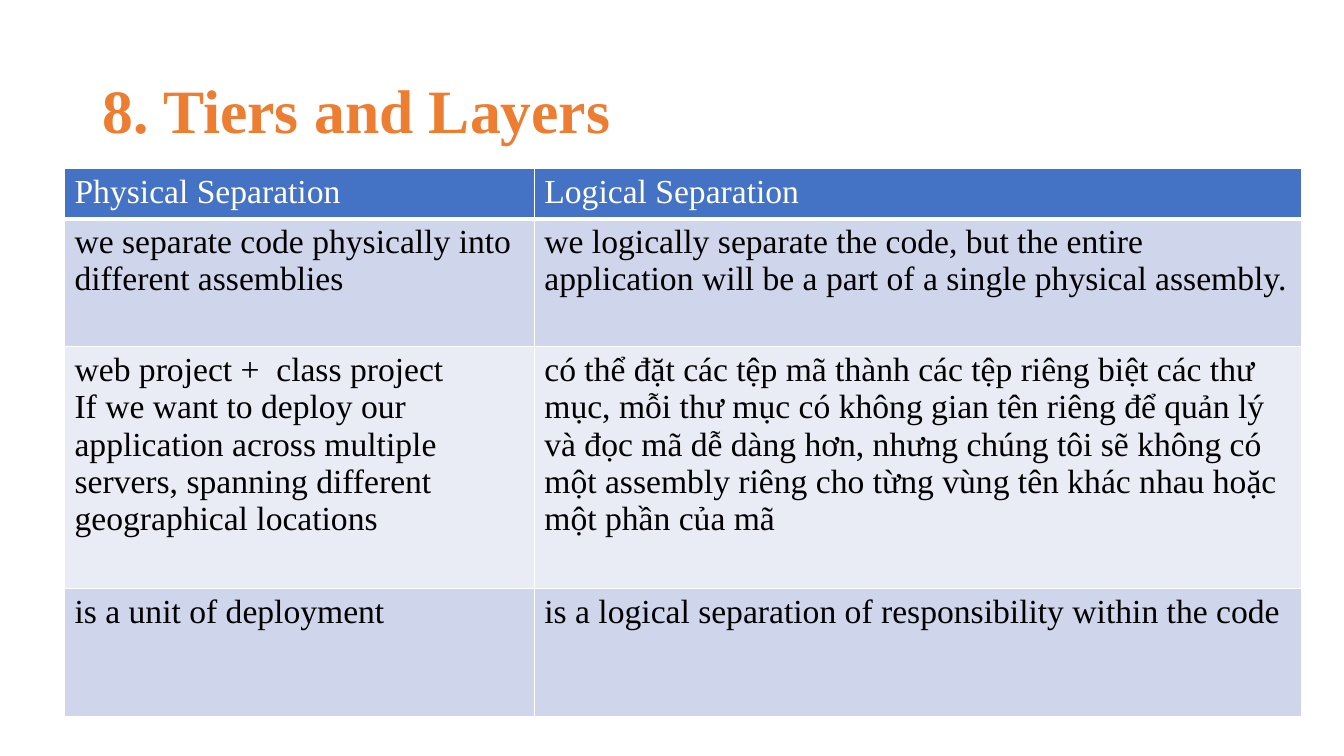
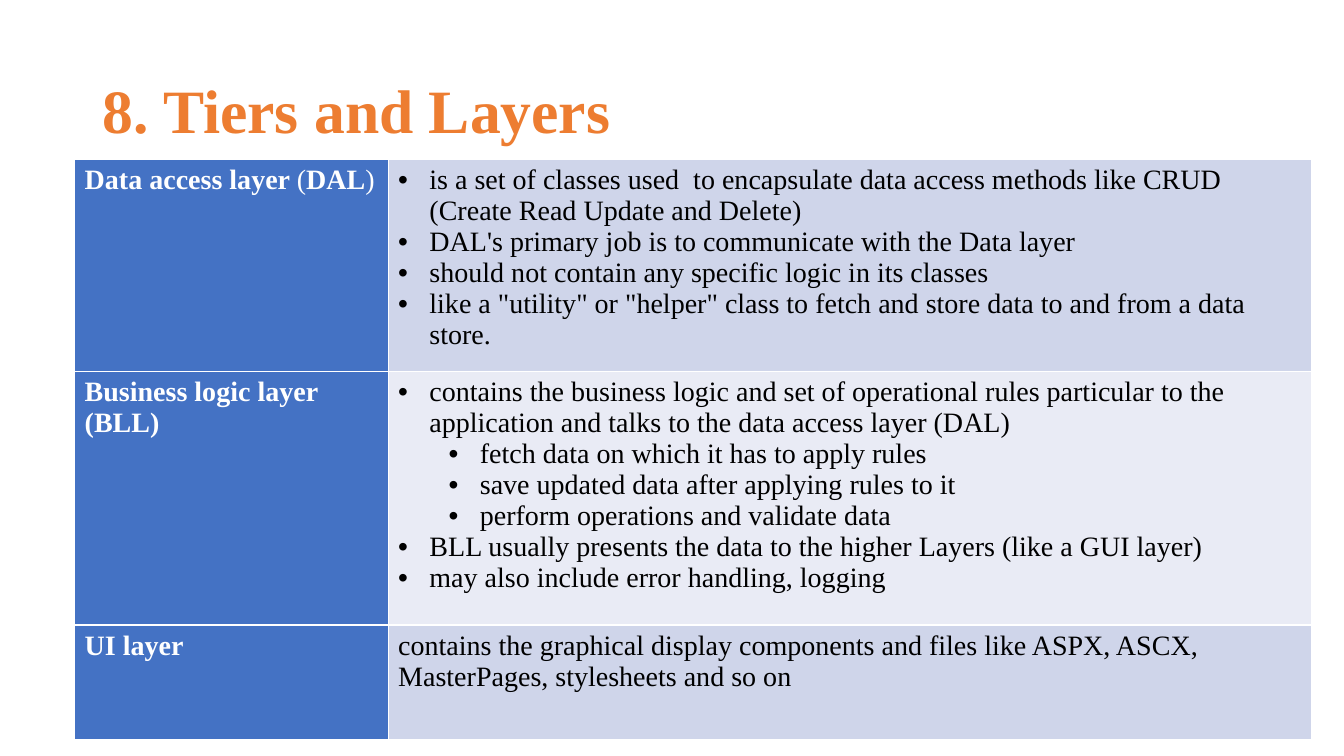
import dataclasses

import lxml.etree
import pptx
import pptx.dml.color
import pptx.enum.text
import pptx.oxml.ns
import pptx.util


@dataclasses.dataclass(frozen=True)
class Theme:
    font: str = "Times New Roman"
    accent: str = "ED7D31"
    header: str = "4472C4"
    bands: tuple = ("CFD5EA", "E9EBF5")
    ink: str = "000000"
    white: str = "FFFFFF"
    title_size: int = 44
    large_size: int = 24
    body_size: int = 20
    hairline: float = 1
    header_rule: float = 3
    hanging: float = 0.31
    level_step: float = 0.5


class SlideWriter:
    """Draw titles and tables on blank slides, placed by percent of the slide size."""

    def __init__(self, theme):
        self.theme = theme
        self.deck = pptx.Presentation()
        self.deck.slide_width = pptx.util.Inches(13.33)
        self.deck.slide_height = pptx.util.Inches(7.5)
        self.page = None

    def across(self, percent):
        return round(self.deck.slide_width * percent / 100)

    def down(self, percent):
        return round(self.deck.slide_height * percent / 100)

    def new_page(self, title):
        self.page = self.deck.slides.add_slide(self.deck.slide_layouts[6])
        box = self.page.shapes.add_textbox(
            self.across(6.9), self.down(5.33), self.across(86.25), self.down(19.33))
        frame = box.text_frame
        layout = {"word_wrap": True, "vertical_anchor": pptx.enum.text.MSO_ANCHOR.MIDDLE}
        for name, value in layout.items():
            setattr(frame, name, value)
        para = frame.paragraphs[0]
        para.line_spacing = 0.9
        self.span(para, title, self.theme.title_size, self.theme.accent, True)

    def span(self, para, text, size, color, bold=False):
        span = para.add_run()
        span.text = text
        values = {"name": self.theme.font, "size": pptx.util.Pt(size), "bold": bold}
        for name, value in values.items():
            setattr(span.font, name, value)
        span.font.color.rgb = pptx.dml.color.RGBColor.from_string(color)

    def bullet(self, para, level):
        para.level = level
        properties = para._p.get_or_add_pPr()
        hanging = pptx.util.Inches(self.theme.hanging)
        margin = hanging + pptx.util.Inches(level * self.theme.level_step)
        for name, value in {"marL": margin, "indent": -hanging}.items():
            properties.set(name, str(value))
        for tag, name, value in (("a:buFont", "typeface", "Arial"), ("a:buChar", "char", "•")):
            mark = lxml.etree.SubElement(properties, pptx.oxml.ns.qn(tag))
            mark.set(name, value)

    def borders(self, cell, bottom):
        properties = cell._tc.get_or_add_tcPr()
        widths = dict.fromkeys(("lnL", "lnR", "lnT"), self.theme.hairline) | {"lnB": bottom}
        for position, (side, width) in enumerate(widths.items()):
            line = lxml.etree.Element(pptx.oxml.ns.qn(f"a:{side}"), w=str(pptx.util.Pt(width)))
            fill = lxml.etree.SubElement(line, pptx.oxml.ns.qn("a:solidFill"))
            lxml.etree.SubElement(fill, pptx.oxml.ns.qn("a:srgbClr"), val=self.theme.white)
            properties.insert(position, line)

    def cell(self, cell, content, fill, size, color, bold, bottom):
        cell.fill.solid()
        cell.fill.fore_color.rgb = pptx.dml.color.RGBColor.from_string(fill)
        self.borders(cell, bottom)
        entries = [content] if isinstance(content, str) else content
        for index, entry in enumerate(entries):
            frame = cell.text_frame
            para = frame.add_paragraph() if index else frame.paragraphs[0]
            level, text = (None, entry) if isinstance(entry, (str, dict)) else entry
            if level is not None:
                self.bullet(para, level)
            pieces = text if isinstance(text, dict) else {text: bold}
            for piece, weight in pieces.items():
                self.span(para, piece, size, color, weight)

    def table(self, left, top, columns, rows, contents, size, header_row=False):
        theme = self.theme
        table = self.page.shapes.add_table(
            len(rows), len(columns), self.across(left), self.down(top),
            self.across(sum(columns)), self.down(sum(rows))).table
        for name in ("first_row", "horz_banding"):
            setattr(table, name, False)
        for column, width in zip(table.columns, columns):
            column.width = self.across(width)
        for index, (row, height) in enumerate(zip(table.rows, rows)):
            row.height = self.down(height)
            for place, content in enumerate(contents[index]):
                heading = index == 0 if header_row else place == 0
                band = theme.bands[(index - header_row) % 2]
                self.cell(
                    row.cells[place], content, theme.header if heading else band, size,
                    theme.white if heading else theme.ink, heading and not header_row,
                    theme.header_rule if heading and header_row else theme.hairline)


TITLE = "8. Tiers and Layers"

SEPARATION = [
    ["Physical Separation", "Logical Separation"],
    ["we separate code physically into different assemblies",
     "we logically separate the code, but the entire application will be a part of "
     "a single physical assembly."],
    [["web project +  class project",
      "If we want to deploy our application across multiple servers, spanning "
      "different geographical locations"],
     "có thể đặt các tệp mã thành các tệp riêng biệt các thư mục, mỗi thư mục có "
     "không gian tên riêng để quản lý và đọc mã dễ dàng hơn, nhưng chúng tôi sẽ "
     "không có một assembly riêng cho từng vùng tên khác nhau hoặc một phần của mã"],
    ["is a unit of deployment",
     "is a logical separation of responsibility within the code"],
]

LAYERS = [
    [[{"Data access layer ": True, "(": False, "DAL": True, ")": False}],
     [(0, "is a set of classes used  to encapsulate data access methods like CRUD "
          "(Create Read Update and Delete)"),
      (0, "DAL's primary job is to communicate with the Data layer"),
      (0, "should not contain any specific logic in its classes"),
      (0, 'like a "utility" or "helper" class to fetch and store data to and from '
          "a data store.")]],
    ["Business logic layer (BLL)",
     [(0, "contains the business logic and set of operational rules particular to the "
          "application and talks to the data access layer (DAL)"),
      (1, "fetch data on which it has to apply rules"),
      (1, "save updated data after applying rules to it"),
      (1, "perform operations and validate data"),
      (0, "BLL usually presents the data to the higher Layers (like a GUI layer)"),
      (0, "may also include error handling, logging")]],
    ["UI layer",
     "contains the graphical display components and files like ASPX, ASCX, "
     "MasterPages, stylesheets and so on"],
]


def main():
    theme = Theme()
    writer = SlideWriter(theme)
    writer.new_page(TITLE)
    writer.table(4.8, 22.27, (34.96, 57.09), (6.53, 16.93, 32, 16.93),
                 SEPARATION, theme.large_size, header_row=True)
    writer.new_page(TITLE)
    writer.table(5.55, 21.07, (23.33, 68.72), (25.87, 33.6, 15.2),
                 LAYERS, theme.body_size)
    writer.deck.save("out.pptx")


if __name__ == "__main__":
    main()
